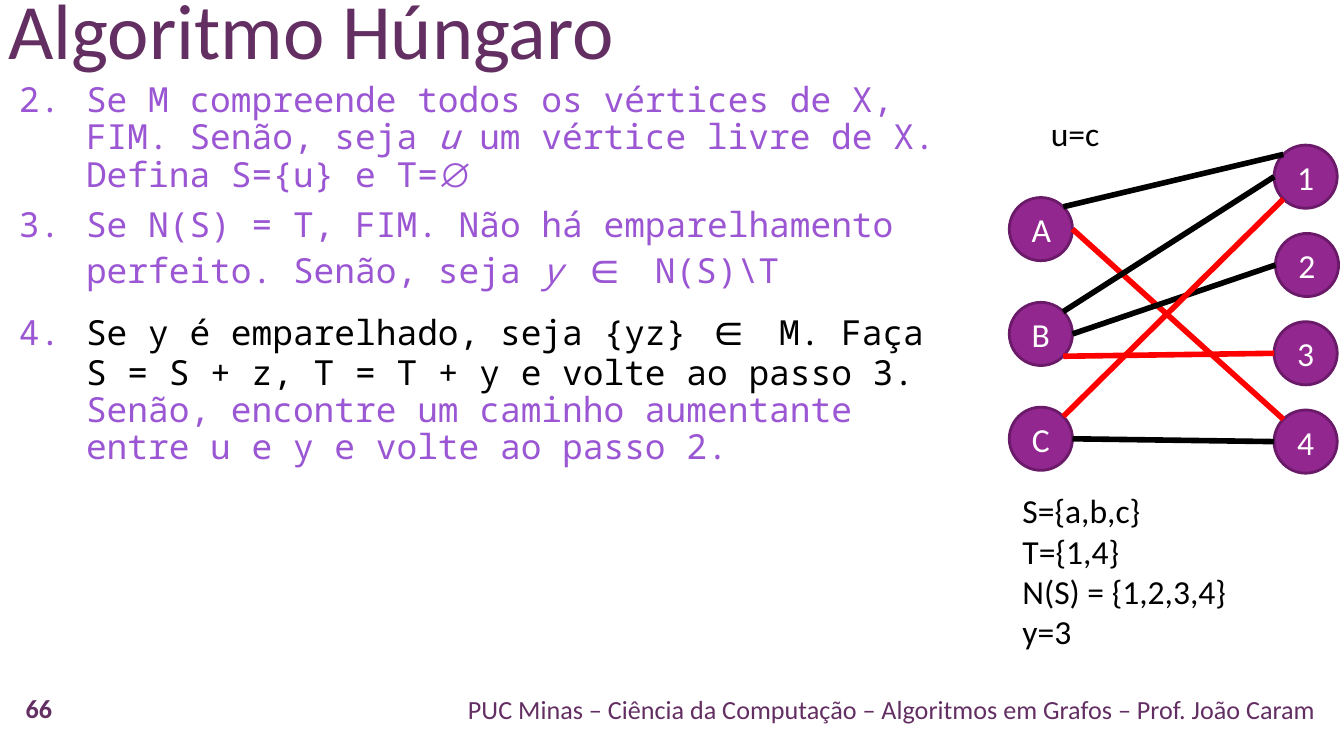
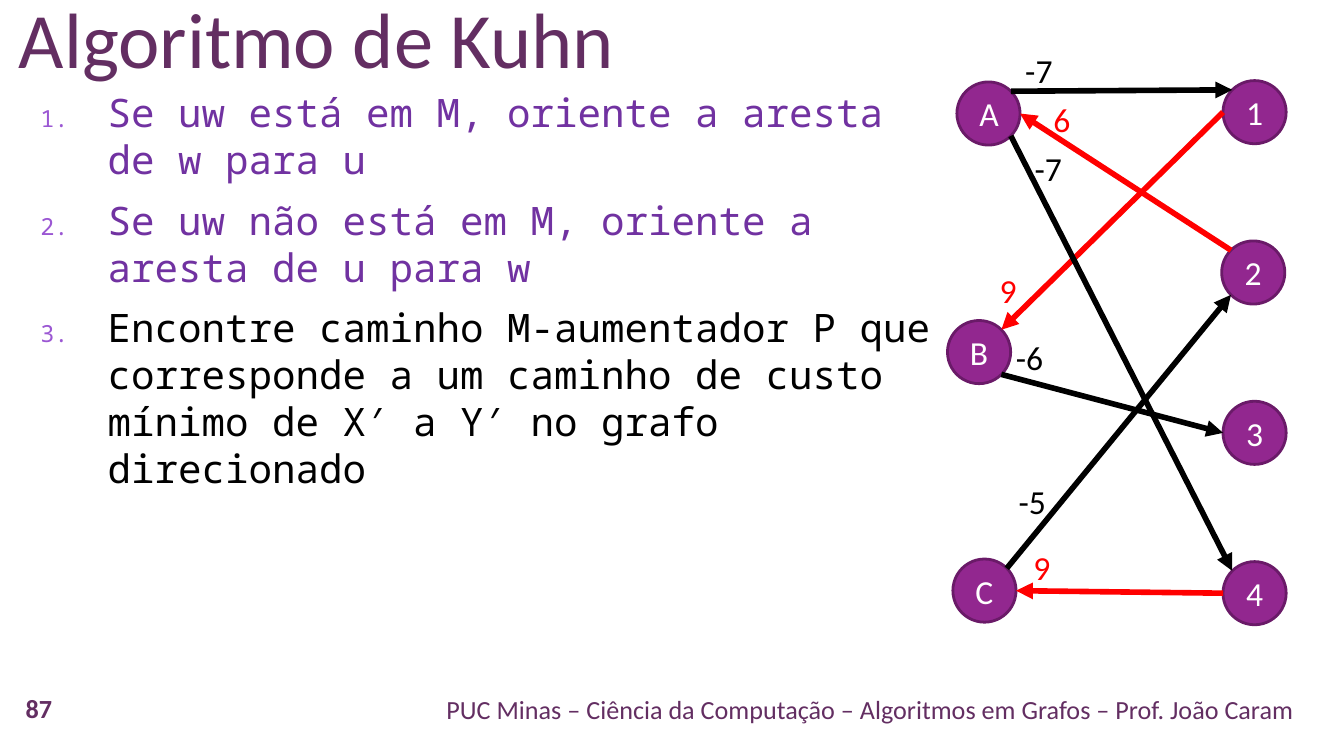
from dataclasses import dataclass
from math import cos, radians, sin

from lxml import etree
from pptx import Presentation
from pptx.dml.color import RGBColor
from pptx.enum.shapes import MSO_CONNECTOR, MSO_SHAPE
from pptx.enum.text import MSO_ANCHOR, MSO_AUTO_SIZE, PP_ALIGN
from pptx.oxml.ns import qn
from pptx.util import Inches, Pt

OVAL = MSO_SHAPE.OVAL
STRAIGHT = MSO_CONNECTOR.STRAIGHT
TOP, MIDDLE, BOTTOM = MSO_ANCHOR.TOP, MSO_ANCHOR.MIDDLE, MSO_ANCHOR.BOTTOM
LEFT, CENTER, RIGHT = PP_ALIGN.LEFT, PP_ALIGN.CENTER, PP_ALIGN.RIGHT

WIDE = Inches(10)
HIGH = WIDE * 9 // 16
CELL = WIDE / 100  # side of one square grid cell
NODE = 4.7         # node diameter in cells
ANGLES = {"e": 0, "se": 45, "sw": 135, "w": 180, "nw": 225, "ne": 315}


@dataclass(frozen=True)
class Style:
    size: float
    color: str
    font: str = "Calibri"
    bold: bool = False
    italic: bool = False


class Theme:
    plum, lilac, violet = "632E62", "9B57D3", "7132A1"
    fill, edge = "92278F", "6A1A68"
    black, red, white = "000000", "FF0000", "FFFFFF"
    mono = "Noto Sans Mono"
    title = Style(42, plum)
    foot = Style(14, plum)
    page = Style(14, plum, bold=True)
    node = Style(18, white)
    note = Style(18, black)
    match = Style(18, red)
    past = Style(18.5, lilac, mono)
    var = Style(18.5, lilac, mono, italic=True)
    empty = Style(18.5, lilac, "Arial")
    now = Style(18.5, black, mono)
    isin = Style(24.1, lilac, "Arial")
    isnow = Style(24.1, black, "Arial")
    gap = Style(24.1, black, mono)
    done = Style(21, violet, mono)
    step = Style(21, black, mono)


def rgb(code):
    return RGBColor.from_string(code)


def grid(*cells):
    return [round(cell * CELL) for cell in cells]


def paint(run, style):
    font = run.font
    font.size, font.name = Pt(style.size), style.font
    font.bold, font.italic = style.bold, style.italic
    font.color.rgb = rgb(style.color)


def fill_text(shape, text, style, align=LEFT, anchor=TOP, wrap=True,
              lines=1.0):
    frame = shape.text_frame
    frame.text = text
    frame.word_wrap, frame.vertical_anchor = wrap, anchor
    frame.auto_size = MSO_AUTO_SIZE.NONE
    for par in frame.paragraphs:
        par.alignment, par.line_spacing = align, lines
        for run in par.runs:
            paint(run, style)


def add_text(slide, box, text, style, **kind):
    fill_text(slide.shapes.add_textbox(*grid(*box)), text, style, **kind)


def place(shape, box):
    shape.left, shape.top, shape.width, shape.height = grid(*box)


def add_frame(deck, title, spot, page, foot):
    """Add a slide with its title, page number and footer."""
    slide = deck.slides.add_slide(deck.slide_layouts[1])
    place(slide.shapes.title, (*spot, 92.1, 11))
    fill_text(slide.shapes.title, title, Theme.title, anchor=BOTTOM)
    add_text(slide, (6.7, 51.25, foot, 3),
             "PUC Minas – Ciência da Computação – Algoritmos em Grafos"
             " – Prof. João Caram", Theme.foot, align=RIGHT, anchor=MIDDLE)
    add_text(slide, (0, 51.25, 5.8, 3.1), page, Theme.page,
             align=CENTER, anchor=MIDDLE, lines=0.9)
    return slide


def number(par, start, share):
    """Give a paragraph a hanging number, sized as a share of its text."""
    props = par._p.get_or_add_pPr()
    props.set("marL", str(Inches(0.5)))
    props.set("indent", str(-Inches(0.5)))
    tint = etree.SubElement(props, qn("a:buClr"))
    etree.SubElement(tint, qn("a:srgbClr"), val=Theme.lilac)
    etree.SubElement(props, qn("a:buSzPct"), val=str(share * 1000))
    etree.SubElement(props, qn("a:buFont"), typeface=Theme.mono)
    etree.SubElement(props, qn("a:buAutoNum"), type="arabicPeriod",
                     startAt=str(start))


def add_steps(slide, box, steps, start=1, share=100, lines=1.0):
    """Fill the body with numbered steps, each a list of (text, style)."""
    body = slide.placeholders[1]
    place(body, box)
    frame = body.text_frame
    frame.word_wrap, frame.auto_size = True, MSO_AUTO_SIZE.NONE
    for i, step in enumerate(steps):
        par = frame.add_paragraph() if i else frame.paragraphs[0]
        number(par, start, share)
        par.alignment, par.line_spacing = LEFT, lines
        par.space_before = Pt(7 if i else 0)
        for text, style in step:
            run = par.add_run()
            run.text = text
            paint(run, style)


def add_node(slide, name, x, y):
    node = slide.shapes.add_shape(OVAL, *grid(x, y, NODE, NODE))
    node.shadow.inherit = False
    node.fill.solid()
    node.fill.fore_color.rgb = rgb(Theme.fill)
    node.line.color.rgb = rgb(Theme.edge)
    node.line.width = Pt(1.5)
    fill_text(node, name, Theme.node, align=CENTER, anchor=MIDDLE)


def rim(spot, side):
    """Point on a node's circle at a compass side."""
    angle, half = radians(ANGLES[side]), NODE / 2
    return (spot[0] + half * (1 + cos(angle)),
            spot[1] + half * (1 + sin(angle)))


def add_edge(slide, start, end, color, tip=None):
    line = slide.shapes.add_connector(STRAIGHT, *grid(*start, *end))
    line.line.color.rgb = rgb(color)
    line.line.width = Pt(3)
    if tip:
        etree.SubElement(line.line._get_or_add_ln(), qn("a:" + tip),
                         type="triangle")
    etree.SubElement(line._element.spPr, qn("a:effectLst"))


def add_graph(slide, box, left, right, edges, arrows=False):
    """Draw a bipartite graph; left and right are (x shifts, top, step).

    Matched edges are red, and their arrows point back to the left side.
    """
    x, y = box
    spots = {}
    for names, (shifts, top, step) in (("ABC", left), ("1234", right)):
        for i, (name, shift) in enumerate(zip(names, shifts)):
            spots[name] = x + shift, y + top + i * step
            add_node(slide, name, *spots[name])
    for a, out, b, into, match in edges:
        tip = ("headEnd" if match else "tailEnd") if arrows else None
        add_edge(slide, rim(spots[a], out), rim(spots[b], into),
                 Theme.red if match else Theme.black, tip)


def add_costs(slide, box, costs):
    for x, y, text, style in costs:
        wide = 2.6 + 0.8 * len(text)
        add_text(slide, (box[0] + x, box[1] + y, wide, 4), text, style,
                 wrap=False)


def hungarian(deck):
    t = Theme
    slide = add_frame(deck, "Algoritmo Húngaro", (-0.4, -4.9), "66", 92.2)
    add_steps(slide, (0.4, 5.65, 72.4, 35.8), [
        [("Se M compreende todos os vértices de X, FIM. Senão, seja ", t.past),
         ("u", t.var),
         (" um vértice livre de X. Defina S={u} e T=", t.past),
         ("∅", t.empty)],
        [("Se N(S) = T, FIM. Não há emparelhamento perfeito. Senão, seja ",
          t.past),
         ("y ", t.var), ("∈", t.isin), (" ", t.gap), ("N(S)\\T", t.past)],
        [("Se y é emparelhado, seja {yz} ", t.now), ("∈", t.isnow),
         (" ", t.gap),
         ("M. Faça S = S + z, T = T + y e volte ao passo 3. ", t.now),
         ("Senão, encontre um caminho aumentante entre u e y e volte ao"
          " passo 2.", t.past)],
    ], start=2, lines=0.9)
    add_graph(slide, (75.1, 10.8), ((0, 0, 0), 3.9, 7.8),
              ((19.7, 19.8, 19.7, 19.7), 0, 6.57), [
        ("A", "ne", "1", "nw", False),
        ("B", "se", "3", "w", True),
        ("A", "e", "4", "nw", True),
        ("B", "e", "2", "w", False),
        ("C", "ne", "1", "sw", True),
        ("C", "e", "4", "w", False),
        ("B", "ne", "1", "w", False),
    ])
    add_text(slide, (75.1, 36, 20.4, 13),
             "S={a,b,c}\nT={1,4}\nN(S) = {1,2,3,4}\ny=3", t.note)
    add_text(slide, (77.2, 7.9, 6.1, 4), "u=c", t.note, wrap=False)


def kuhn(deck):
    t = Theme
    slide = add_frame(deck, "Algoritmo de Kuhn", (0.4, -4.2), "87", 90.6)
    add_steps(slide, (2, 6.1, 69.5, 41), [
        [("Se uw está em M, oriente a aresta de w para u", t.done)],
        [("Se uw não está em M, oriente a aresta de u para w", t.done)],
        [("Encontre caminho M-aumentador P que corresponde a um caminho de"
          " custo mínimo de X′ a Y′ no grafo direcionado", t.step)],
    ], share=60)
    box = (70.5, 6)
    add_graph(slide, box, ((0.7, 0, 0.4), 0.1, 17.75),
              ((20.5, 20.4, 20.5, 20.5), 0, 11.93), [
        ("A", "ne", "1", "nw", False),
        ("B", "se", "3", "w", False),
        ("A", "e", "2", "nw", True),
        ("C", "ne", "2", "sw", False),
        ("C", "e", "4", "w", True),
        ("B", "ne", "1", "w", True),
        ("A", "se", "4", "nw", False),
    ], arrows=True)
    add_costs(slide, box, [
        (4.8, -2.8, "-7", t.note),
        (2.9, 13.6, "9", t.match),
        (4.1, 18.6, "-6", t.note),
        (4.3, 29.3, "-5", t.note),
        (5.4, 34.2, "9", t.match),
        (6.9, 0.9, "6", t.match),
        (5.5, 4.5, "-7", t.note),
    ])


def main():
    deck = Presentation()
    deck.slide_width, deck.slide_height = WIDE, HIGH
    hungarian(deck)
    kuhn(deck)
    deck.save("out.pptx")


if __name__ == "__main__":
    main()
